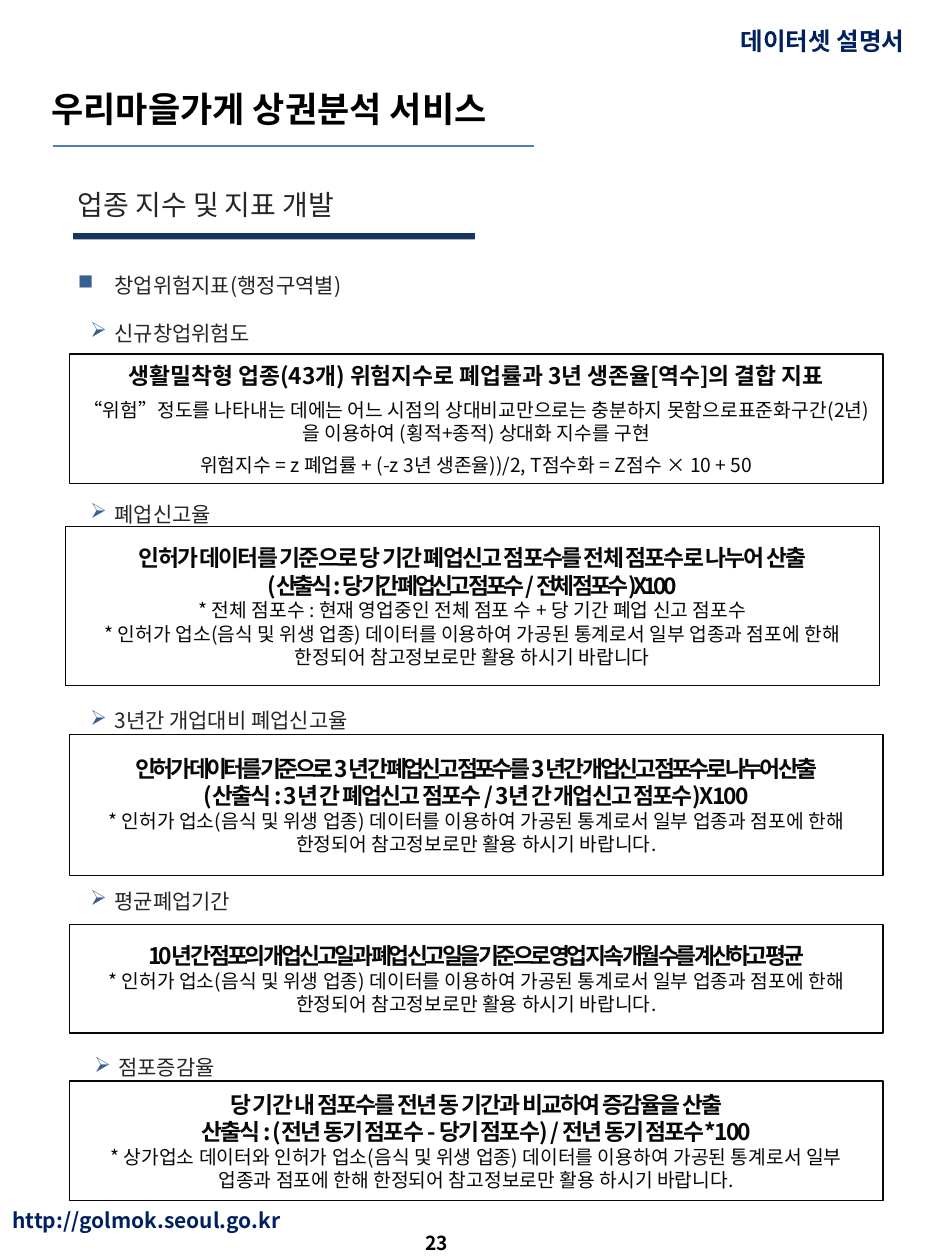
from lxml import etree
from pptx import Presentation
from pptx.dml.color import RGBColor
from pptx.enum.shapes import MSO_CONNECTOR, MSO_SHAPE
from pptx.enum.text import MSO_ANCHOR, MSO_AUTO_SIZE, PP_ALIGN
from pptx.oxml.ns import qn
from pptx.util import Inches, Pt

FONT = "Noto Sans CJK KR"
RECTANGLE = MSO_SHAPE.RECTANGLE
STRAIGHT = MSO_CONNECTOR.STRAIGHT
TOP, MIDDLE = MSO_ANCHOR.TOP, MSO_ANCHOR.MIDDLE
GROW, FIXED = MSO_AUTO_SIZE.SHAPE_TO_FIT_TEXT, MSO_AUTO_SIZE.NONE
CENTER = PP_ALIGN.CENTER

color = RGBColor.from_string


def add_span(para, text, size, hex_color, bold=False, spacing=0):
    span = para.add_run()
    span.text = text
    for name, value in {"size": Pt(size), "bold": bold, "name": FONT}.items():
        setattr(span.font, name, value)
    span.font.color.rgb = color(hex_color)
    properties = span.font._element
    etree.SubElement(properties, qn("a:ea"), typeface=FONT)
    if spacing:
        properties.set("spc", str(spacing * 100))


def add_bullet(para, symbol, indent):
    properties = para._p.get_or_add_pPr()
    properties.set("marL", str(Inches(0.29)))
    properties.set("indent", str(Inches(indent)))
    fill = etree.SubElement(properties, qn("a:buClr"))
    etree.SubElement(fill, qn("a:srgbClr"), val="376092")
    etree.SubElement(properties, qn("a:buChar"), char=symbol)
    para.line_spacing = 1.5
    para.space_after = Pt(6)


deck = Presentation()
deck.slide_width = Inches(7.5)
deck.slide_height = Inches(10)
page = deck.slides.add_slide(deck.slide_layouts[6])

labels = [
    ("우리마을가게 상권분석 서비스", 0.31, 0.46, 5.04, 0.8, 20, "000000", True, MIDDLE, FIXED, False),
    ("http://golmok.seoul.go.kr", 0, 9.37, 1.84, 0.63, 12, "002060", True, MIDDLE, FIXED, False),
    ("데이터셋 설명서", 5.78, 0.16, 1.64, 0.34, 14, "002060", True, TOP, GROW, False),
    ("23", 3.28, 9.72, 1, 0.28, 11, "000000", True, MIDDLE, FIXED, False),
    ("업종 지수 및 지표 개발", 0.52, 1.44, 6.13, 0.37, 16, "262626", False, TOP, GROW, True),
]
for text, left, top, width, height, size, hex_color, bold, anchor, fit, wrap in labels:
    box = page.shapes.add_textbox(Inches(left), Inches(top), Inches(width), Inches(height))
    frame = box.text_frame
    for name, value in {"word_wrap": wrap, "auto_size": fit, "vertical_anchor": anchor}.items():
        setattr(frame, name, value)
    add_span(frame.paragraphs[0], text, size, hex_color, bold)

title_rule = page.shapes.add_connector(STRAIGHT, Inches(0.42), Inches(1.16), Inches(4.24), Inches(1.16))
title_rule.line.color.rgb = color("4B7EBC")
title_rule.line.width = Pt(0.75)
etree.SubElement(title_rule._element.spPr, qn("a:effectLst"))

heading_bar = page.shapes.add_shape(RECTANGLE, Inches(0.58), Inches(1.85), Inches(3.19), Inches(0.05))
heading_bar.shadow.inherit = False
heading_bar.fill.solid()
heading_bar.fill.fore_color.rgb = color("17375E")
heading_bar.line.fill.background()

lead = {"size": 13, "bold": True}
tight = {"size": 13, "bold": True, "spacing": -1}
tighter = {"size": 13, "bold": True, "spacing": -2}
body = {"size": 11}
permit_note = "* 인허가 업소(음식 및 위생 업종) 데이터를 이용하여 가공된 통계로서 일부 업종과 점포에 한해 한정되어 참고정보로만 활용 하시기 바랍니다"

panels = [
    (0.55, 2.81, 1.03, 3, 2, [
        ("생활밀착형 업종(43개) 위험지수로 폐업률과 3년 생존율[역수]의 결합 지표", lead),
        ("“위험”정도를 나타내는 데에는 어느 시점의 상대비교만으로는 충분하지 못함으로표준화구간(2년)을 이용하여 (횡적+종적) 상대화 지수를 구현", body),
        ("위험지수 = z 폐업률 + (-z 3년 생존율))/2, T점수화 = Z점수 × 10 + 50", body),
    ]),
    (0.52, 4.18, 1.26, 0, 0, [
        ("인허가 데이터를 기준으로 당 기간 폐업신고 점포수를 전체 점포수로 나누어 산출", tight),
        ("(산출식 : 당 기간 폐업신고 점포수 / 전체 점포수)X100", tighter),
        ("* 전체 점포수 : 현재 영업중인 전체 점포 수 + 당 기간 폐업 신고 점포수", body),
        (permit_note, body),
    ]),
    (0.55, 5.83, 1.12, 0, 0, [
        ("인허가 데이터를 기준으로 3년 간 폐업신고 점포수를 3년 간 개업신고 점포수로 나누어 산출", tighter),
        ("(산출식 : 3년 간 폐업신고 점포수 / 3년 간 개업신고 점포수)X100", tight),
        (permit_note + ".", body),
    ]),
    (0.55, 7.34, 0.86, 0, 0, [
        ("10년 간 점포의 개업 신고일과 폐업 신고일을 기준으로 영업 지속 개월 수를 계산하고 평균", tighter),
        (permit_note + ".", body),
    ]),
    (0.55, 8.58, 0.95, 0, 0, [
        ("당 기간 내 점포수를 전년 동 기간과 비교하여 증감율을 산출", tight),
        ("산출식 : (전년 동기 점포수 - 당기 점포수) / 전년 동기 점포수*100", tight),
        ("* 상가업소 데이터와 인허가 업소(음식 및 위생 업종) 데이터를 이용하여 가공된 통계로서 일부 업종과 점포에 한해 한정되어 참고정보로만 활용 하시기 바랍니다.", body),
    ]),
]
for left, top, height, before, after, lines in panels:
    panel = page.shapes.add_shape(RECTANGLE, Inches(left), Inches(top), Inches(6.46), Inches(height))
    panel.shadow.inherit = False
    panel.fill.solid()
    panel.fill.fore_color.rgb = color("FFFFFF")
    panel.line.color.rgb = color("080808")
    panel.line.width = Pt(0.75)
    frame = panel.text_frame
    frame.word_wrap = True
    frame.vertical_anchor = MIDDLE
    for index, (text, style) in enumerate(lines):
        para = frame.add_paragraph() if index else frame.paragraphs[0]
        spacing = {"alignment": CENTER, "space_before": Pt(before if index else 0), "space_after": Pt(after)}
        for name, value in spacing.items():
            setattr(para, name, value)
        add_span(para, text, hex_color="080808", **style)

topics = [
    (0.52, 2.01, 0.79, [("■", -0.29, "창업위험지표(행정구역별)"), ("➢", -0.19, "신규창업위험도")]),
    (0.52, 3.83, 0.36, [("➢", -0.19, "폐업신고율")]),
    (0.52, 5.47, 0.36, [("➢", -0.19, "3년간 개업대비 폐업신고율")]),
    (0.52, 6.9, 0.36, [("➢", -0.19, "평균폐업기간")]),
    (0.55, 8.22, 0.36, [("➢", -0.19, "점포증감율")]),
]
for left, top, height, items in topics:
    box = page.shapes.add_textbox(Inches(left), Inches(top), Inches(6.37), Inches(height))
    frame = box.text_frame
    frame.word_wrap = True
    frame.auto_size = GROW
    for index, (symbol, indent, text) in enumerate(items):
        para = frame.add_paragraph() if index else frame.paragraphs[0]
        add_bullet(para, symbol, indent)
        add_span(para, text, 12, "262626")

deck.save("out.pptx")
